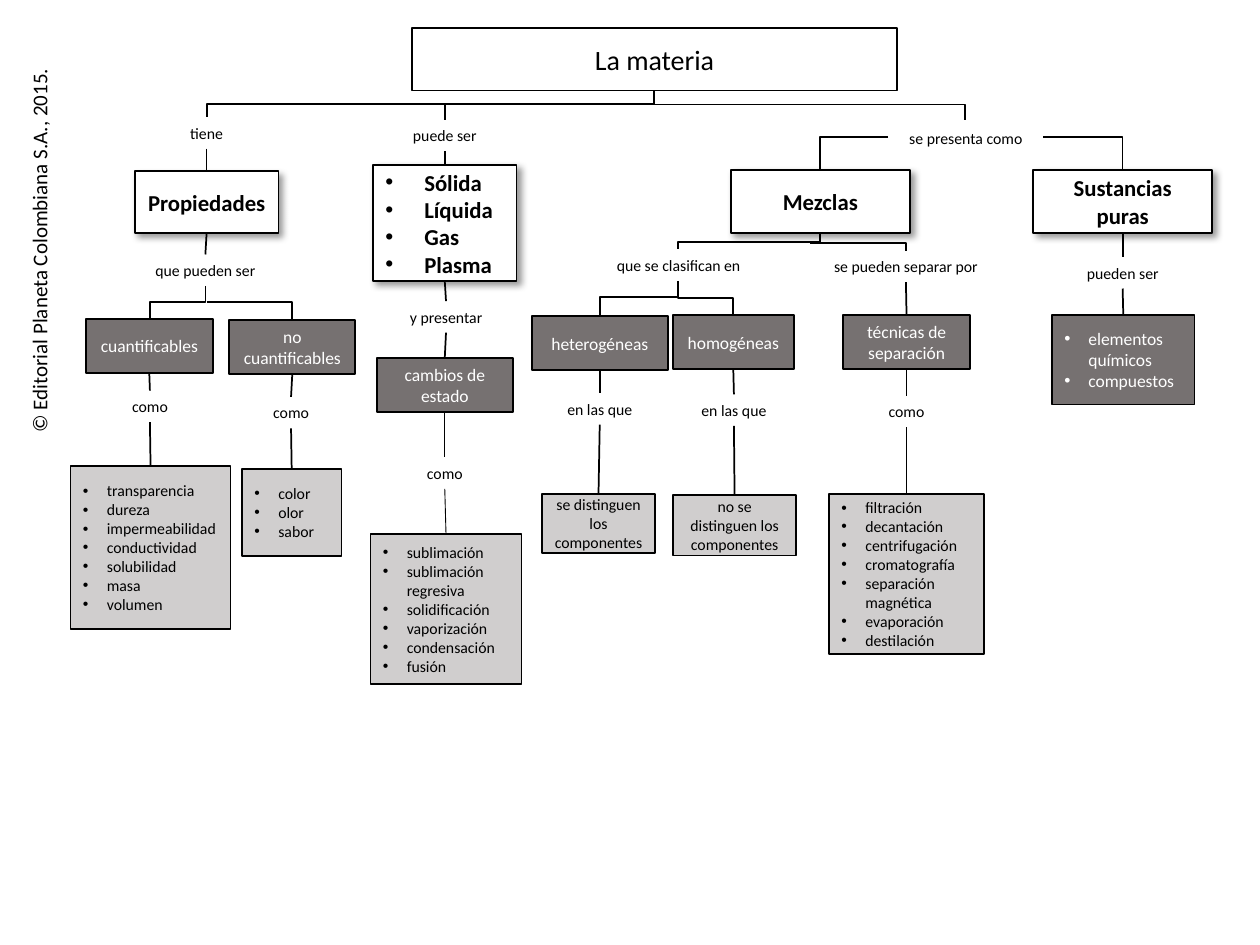
from dataclasses import dataclass

from lxml import etree
from pptx import Presentation
from pptx import util as u
from pptx.dml import color
from pptx.enum import shapes, text
from pptx.oxml import ns


@dataclass(frozen=True)
class Theme:
    font: str = "Calibri"
    black: str = "000000"
    white: str = "FFFFFF"
    dark: str = "767171"
    light: str = "D0CECE"
    title: int = 16
    concept: int = 13
    credit: int = 12
    group: int = 10
    detail: int = 9
    line: float = 1
    thin: float = 0.5


THEME = Theme()

# Box styles: fill, text colour, type size, bold, shadow, bullet indent
STYLES = {
    "title": (THEME.white, THEME.black, THEME.title, False, False, 0),
    "concept": (THEME.white, THEME.black, THEME.concept, True, True, 0.31),
    "group": (THEME.dark, THEME.white, THEME.group, False, False, 0.19),
    "detail": (THEME.light, THEME.black, THEME.detail, False, False, 0.19),
}

# Boxes: name, style, (left, top, width, height), wording (a list is bulleted)
BOXES = [
    ("materia", "title", (3.27, 0.22, 3.85, 0.5), "La materia"),
    ("propiedades", "concept", (1.07, 1.36, 1.14, 0.49), "Propiedades"),
    ("estados", "concept", (2.96, 1.31, 1.14, 0.92),
     ["Sólida", "Líquida", "Gas", "Plasma"]),
    ("mezclas", "concept", (5.8, 1.35, 1.42, 0.5), "Mezclas"),
    ("sustancias", "concept", (8.2, 1.35, 1.42, 0.5), "Sustancias puras"),
    ("cuantificables", "group", (0.68, 2.53, 1.01, 0.43), "cuantificables"),
    ("no cuantificables", "group", (1.82, 2.54, 1, 0.43), "no cuantificables"),
    ("cambios", "group", (2.99, 2.84, 1.08, 0.43), "cambios de estado"),
    ("heterogéneas", "group", (4.22, 2.51, 1.08, 0.43), "heterogéneas"),
    ("homogéneas", "group", (5.34, 2.5, 0.96, 0.43), "homogéneas"),
    ("técnicas", "group", (6.69, 2.5, 1.01, 0.43), "técnicas de separación"),
    ("clases", "group", (8.35, 2.5, 1.13, 0.71),
     ["elementos químicos", "compuestos"]),
    ("medibles", "detail", (0.56, 3.7, 1.27, 1.29),
     ["transparencia", "dureza", "impermeabilidad", "conductividad",
      "solubilidad", "masa", "volumen"]),
    ("sensibles", "detail", (1.92, 3.72, 0.79, 0.69),
     ["color", "olor", "sabor"]),
    ("procesos", "detail", (2.94, 4.24, 1.2, 1.19),
     ["sublimación", "sublimación regresiva", "solidificación",
      "vaporización", "condensación", "fusión"]),
    ("distinguen", "detail", (4.3, 3.92, 0.9, 0.47),
     "se distinguen los componentes"),
    ("no distinguen", "detail", (5.34, 3.93, 0.98, 0.48),
     "no se distinguen los componentes"),
    ("métodos", "detail", (6.58, 3.92, 1.23, 1.27),
     ["filtración", "decantación", "centrifugación", "cromatografía",
      "separación magnética", "evaporación", "destilación"]),
]

# Linking words: wording, (left, top, width), box above, box below, line width
LABEL_HEIGHT = 0.25
LABELS = [
    ("tiene", (1.11, 0.93, 1.06), None, "propiedades", THEME.line),
    ("puede ser", (3, 0.95, 1.06), None, "estados", THEME.line),
    ("se presenta como", (7.05, 0.97, 1.23), None, None, THEME.line),
    ("que pueden ser", (1.1, 2.02, 1.06), "propiedades", None, THEME.line),
    ("y presentar", (2.78, 2.39, 1.52), "estados", "cambios", THEME.line),
    ("que se clasifican en", (4.71, 1.98, 1.35), None, None, THEME.line),
    ("se pueden separar por", (6.51, 1.99, 1.36), None, "técnicas", THEME.line),
    ("pueden ser", (8.15, 2.04, 1.52), "sustancias", "clases", THEME.line),
    ("como", (0.43, 3.1, 1.52), "cuantificables", "medibles", THEME.line),
    ("como", (1.55, 3.15, 1.52), "no cuantificables", "sensibles", THEME.line),
    ("como", (2.77, 3.63, 1.52), "cambios", "procesos", THEME.thin),
    ("en las que", (4, 3.12, 1.52), "heterogéneas", "distinguen", THEME.line),
    ("en las que", (5.16, 3.13, 1.33), "homogéneas", "no distinguen", THEME.line),
    ("como", (6.53, 3.14, 1.33), "técnicas", "métodos", THEME.line),
]

# Branches that go down, across and down again
STEPS = [
    ((5.19, 0.72), (1.64, 0.93)),
    ((1.63, 2.27), (1.19, 2.53)),
    ((6.51, 1.86), (5.38, 1.98)),
    ((5.38, 2.23), (5.82, 2.5)),
]
# Branches that go across and then down
CORNERS = [
    ((5.18, 0.83), (7.66, 0.95)),
    ((6.43, 1.93), (7.19, 1.99)),
    ((1.64, 2.4), (2.32, 2.54)),
    ((8.28, 1.09), (8.91, 1.35)),
    ((7.05, 1.09), (6.51, 1.35)),
    ((5.37, 2.36), (4.76, 2.51)),
]


def rgb(value):
    return color.RGBColor.from_string(value)


def write(shape, wording, size, ink=THEME.black, bold=False, indent=0,
          align=text.PP_ALIGN.CENTER):
    bulleted = isinstance(wording, list)
    lines = wording if bulleted else [wording]
    frame = shape.text_frame
    for number, line in enumerate(lines):
        paragraph = frame.add_paragraph() if number else frame.paragraphs[0]
        paragraph.alignment = text.PP_ALIGN.LEFT if bulleted else align
        if bulleted:
            properties = paragraph._p.get_or_add_pPr()
            properties.set("marL", str(u.Inches(indent)))
            properties.set("indent", str(-u.Inches(indent)))
            etree.SubElement(properties, ns.qn("a:buFont"), typeface="Arial")
            etree.SubElement(properties, ns.qn("a:buChar"), char="•")
        run = paragraph.add_run()
        run.text = line
        formats = {"name": THEME.font, "size": u.Pt(size), "bold": bold}
        for name, value in formats.items():
            setattr(run.font, name, value)
        run.font.color.rgb = rgb(ink)


def add_shadow(shape):
    effects = shape._element.spPr.find(ns.qn("a:effectLst"))
    shadow = etree.SubElement(
        effects, ns.qn("a:outerShdw"), blurRad=str(u.Pt(4)),
        dist=str(u.Pt(3)), dir="2700000", algn="tl", rotWithShape="0")
    tint = etree.SubElement(shadow, ns.qn("a:srgbClr"), val=THEME.black)
    etree.SubElement(tint, ns.qn("a:alpha"), val="40000")


def add_box(slide, style, place, wording):
    fill, ink, size, bold, shadowed, indent = STYLES[style]
    shape = slide.shapes.add_shape(
        shapes.MSO_SHAPE.RECTANGLE, *map(u.Inches, place))
    shape.shadow.inherit = False
    if shadowed:
        add_shadow(shape)
    shape.fill.solid()
    shape.fill.fore_color.rgb = rgb(fill)
    shape.line.color.rgb = rgb(THEME.black)
    shape.line.width = u.Pt(THEME.line)
    shape.text_frame.vertical_anchor = text.MSO_ANCHOR.MIDDLE
    write(shape, wording, size, ink, bold, indent)
    return shape


def add_label(slide, place, wording):
    shape = slide.shapes.add_textbox(*map(u.Inches, (*place, LABEL_HEIGHT)))
    shape.text_frame.word_wrap = True
    write(shape, wording, THEME.detail)
    return shape


def add_line(slide, kind, start, end, width=THEME.line):
    connector = slide.shapes.add_connector(kind, *map(u.Inches, (*start, *end)))
    connector.line.color.rgb = rgb(THEME.black)
    connector.line.width = u.Pt(width)
    etree.SubElement(connector._element.spPr, ns.qn("a:effectLst"))
    return connector


def join(slide, upper, lower, width):
    connector = add_line(slide, shapes.MSO_CONNECTOR.STRAIGHT,
                         (0, 0), (0, 0), width)
    connector.begin_connect(upper, 2)
    connector.end_connect(lower, 0)


def add_step(slide, start, end):
    # The elbow is laid out sideways around its centre, then turned 90 degrees
    middle_x, middle_y = (start[0] + end[0]) / 2, (start[1] + end[1]) / 2
    half_x, half_y = (end[0] - start[0]) / 2, (end[1] - start[1]) / 2
    connector = add_line(slide, shapes.MSO_CONNECTOR.ELBOW,
                         (middle_x - half_y, middle_y + half_x),
                         (middle_x + half_y, middle_y - half_x))
    connector._element.spPr.find(ns.qn("a:xfrm")).set("rot", "5400000")


def add_corner(slide, start, end):
    connector = add_line(slide, shapes.MSO_CONNECTOR.ELBOW, start, end)
    geometry = connector._element.spPr.find(ns.qn("a:prstGeom"))
    geometry.set("prst", "bentConnector2")


def add_credit(slide):
    shape = slide.shapes.add_textbox(*map(u.Inches, (-1.25, 1.82, 3.12, 0.3)))
    shape.rotation = 270
    shape.text_frame.word_wrap = False
    write(shape, "© Editorial Planeta Colombiana S.A., 2015.", THEME.credit,
          align=text.PP_ALIGN.LEFT)


def main():
    presentation = Presentation()
    presentation.slide_width, presentation.slide_height = u.Inches(10), u.Inches(7.5)
    slide = presentation.slides.add_slide(presentation.slide_layouts[6])
    add_credit(slide)

    # Branches
    for start, end in STEPS:
        add_step(slide, start, end)
    for start, end in CORNERS:
        add_corner(slide, start, end)

    # Concepts, and the linking words between them
    boxes = {name: add_box(slide, style, place, wording)
             for name, style, place, wording in BOXES}
    for wording, place, above, below, width in LABELS:
        label = add_label(slide, place, wording)
        if above:
            join(slide, boxes[above], label, width)
        if below:
            join(slide, label, boxes[below], width)
    add_line(slide, shapes.MSO_CONNECTOR.STRAIGHT, (3.53, 0.82), (3.53, 0.95))

    presentation.save("out.pptx")


if __name__ == "__main__":
    main()
